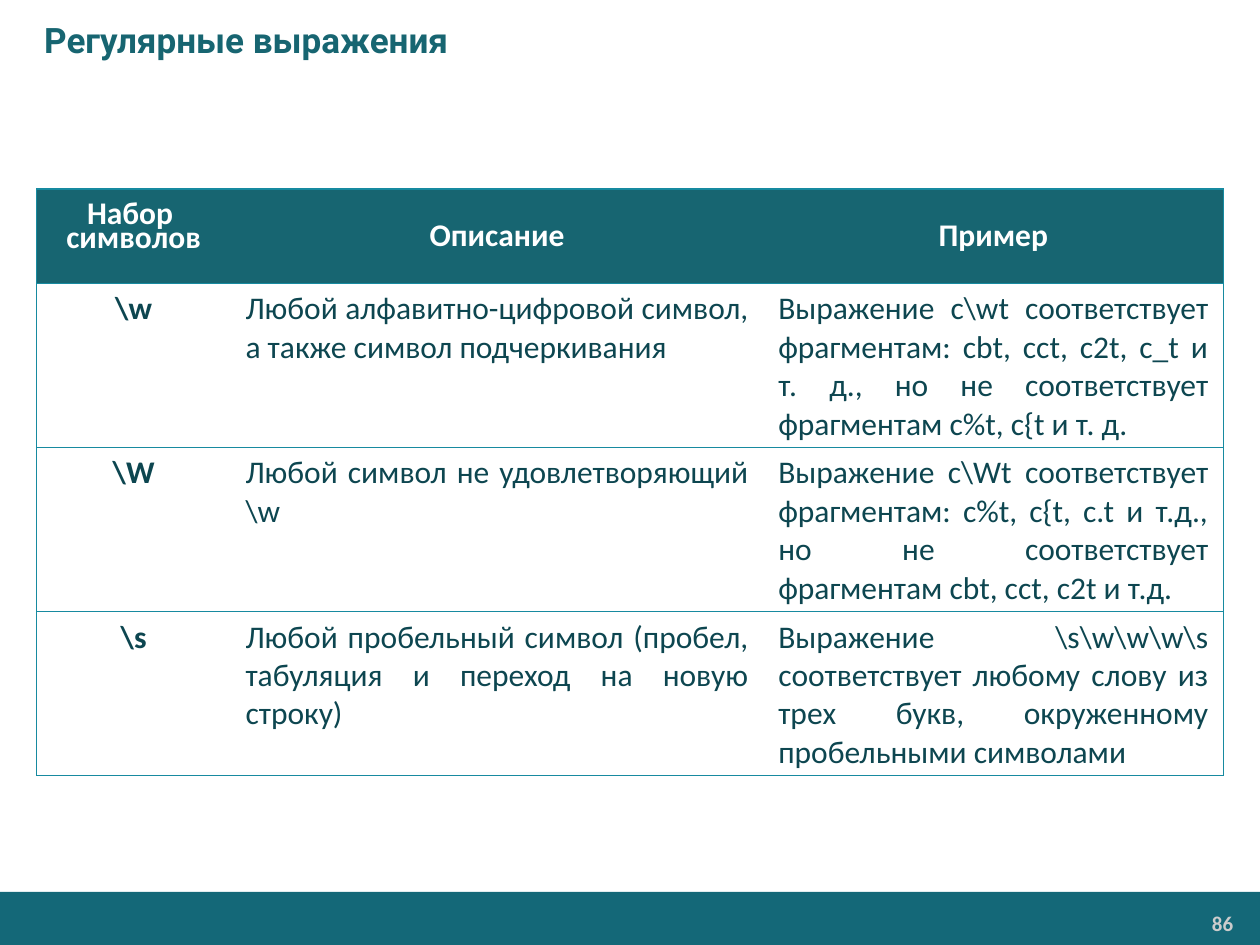
from dataclasses import dataclass

from lxml.etree import SubElement
from pptx import Presentation
from pptx.dml.color import RGBColor as Color
from pptx.enum.shapes import MSO_SHAPE as Shape
from pptx.enum.text import MSO_ANCHOR as Anchor, PP_ALIGN as Align
from pptx.oxml.ns import qn
from pptx.util import Cm, Pt


@dataclass(frozen=True)
class Theme:
    header: str = "176571"
    footer: str = "146878"
    border: str = "178AA0"
    ink: str = "0D4650"
    light: str = "FFFFFF"
    muted: str = "CCCCCC"
    title_font: str = "Roboto"
    body_font: str = "Calibri"
    title_size: int = 20
    body_size: int = 18
    number_size: int = 12
    border_width: float = 0.75


class SlideBuilder:
    def __init__(self, page, theme):
        self.page = page
        self.theme = theme

    def style(self, frame, align, size, color, bold=False, font=None):
        for para in frame.paragraphs:
            para.alignment = align
            for span in para.runs:
                span.font.name = font or self.theme.body_font
                span.font.size = Pt(size)
                span.font.bold = bold
                span.font.color.rgb = Color.from_string(color)

    def footer(self, left, top, width, height):
        bar = self.page.shapes.add_shape(
            Shape.RECTANGLE, Cm(left), Cm(top), Cm(width), Cm(height))
        bar.shadow.inherit = False
        bar.fill.solid()
        bar.fill.fore_color.rgb = Color.from_string(self.theme.footer)
        bar.line.fill.background()

    def number(self, text, left, top, width, height):
        box = self.page.shapes.add_textbox(Cm(left), Cm(top), Cm(width), Cm(height))
        frame = box.text_frame
        frame.word_wrap = True
        frame.margin_left = frame.margin_right = Cm(0.18)
        frame.margin_top = frame.margin_bottom = Cm(0.1)
        frame.text = text
        self.style(frame, Align.RIGHT, self.theme.number_size, self.theme.muted, True)

    def title(self, text, left, top, width, height):
        box = self.page.shapes.title
        box.left, box.top, box.width, box.height = Cm(left), Cm(top), Cm(width), Cm(height)
        frame = box.text_frame
        frame.vertical_anchor = Anchor.MIDDLE
        frame.margin_left = Cm(0.89)
        frame.text = text
        self.style(frame, Align.LEFT, self.theme.title_size, self.theme.header,
                   True, self.theme.title_font)

    def borders(self, cell, visible):
        properties = cell._tc.get_or_add_tcPr()
        for side in "LRTB":
            line = SubElement(properties, qn(f"a:ln{side}"))
            if side in visible:
                line.set("w", str(Pt(self.theme.border_width)))
                fill = SubElement(line, qn("a:solidFill"))
                SubElement(fill, qn("a:srgbClr")).set("val", self.theme.border)
            else:
                line.set("w", "0")
                SubElement(line, qn("a:noFill"))

    def cell(self, cell, text, is_header, is_first, is_last):
        self.borders(cell, "TB" + "L" * is_first + "R" * is_last)
        cell.margin_left = cell.margin_right = Cm(0.3)
        cell.margin_top = cell.margin_bottom = Cm(0.13)
        cell.vertical_anchor = Anchor.MIDDLE if is_header else Anchor.TOP
        if is_header:
            cell.fill.solid()
            cell.fill.fore_color.rgb = Color.from_string(self.theme.header)
        else:
            cell.fill.background()
        cell.text_frame.text = text
        centred = is_header or is_first
        self.style(cell.text_frame, Align.CENTER if centred else Align.JUSTIFY,
                   self.theme.body_size,
                   self.theme.light if is_header else self.theme.ink, centred)

    def tighten(self, cell):
        cell.margin_left = cell.margin_right = Cm(0.23)
        cell.margin_top = cell.margin_bottom = 0
        for index, para in enumerate(cell.text_frame.paragraphs):
            para.line_spacing = Pt(10)
            para.space_before = Pt(2 if index else 0)
            para.space_after = Pt(2)

    def table(self, rows, left, top, widths, heights):
        frame = self.page.shapes.add_table(
            len(rows), len(widths), Cm(left), Cm(top), Cm(sum(widths)), Cm(sum(heights)))
        table = frame.table
        table.first_row = table.horz_banding = False
        for column, width in zip(table.columns, widths):
            column.width = Cm(width)
        for row, height in zip(table.rows, heights):
            row.height = Cm(height)
        last = len(widths) - 1
        for y, texts in enumerate(rows):
            for x, text in enumerate(texts):
                self.cell(table.cell(y, x), text, y == 0, x == 0, x == last)
        self.tighten(table.cell(0, 0))


ROWS = [
    ("Набор \nсимволов", "Описание", "Пример"),
    ("\\w", "Любой алфавитно-цифровой символ, а также символ подчеркивания",
     "Выражение c\\wt соответствует фрагментам: cbt, cct, c2t, c_t и т. д., "
     "но не соответствует фрагментам c%t, c{t и т. д."),
    ("\\W", "Любой символ не удовлетворяющий \\w",
     "Выражение c\\Wt соответствует фрагментам: c%t, c{t, c.t и т.д., "
     "но не соответствует фрагментам cbt, cct, c2t и т.д."),
    ("\\s", "Любой пробельный символ (пробел, табуляция и переход на новую строку)",
     "Выражение \\s\\w\\w\\w\\s соответствует любому слову из трех букв, "
     "окруженному пробельными символами"),
]


def main():
    deck = Presentation()
    deck.slide_width, deck.slide_height = Cm(25.4), Cm(19.05)
    page = deck.slides.add_slide(deck.slide_layouts[5])
    builder = SlideBuilder(page, Theme())
    builder.footer(0, 17.98, 25.4, 1.07)
    builder.number("86", 20.9, 18.26, 4.14, 0.71)
    builder.title("Регулярные выражения", 0, 0, 25.4, 1.6)
    builder.table(ROWS, 0.74, 3.81, [3.91, 10.74, 9.27], [1.9] + [3.3] * 3)
    deck.save("out.pptx")


if __name__ == "__main__":
    main()
